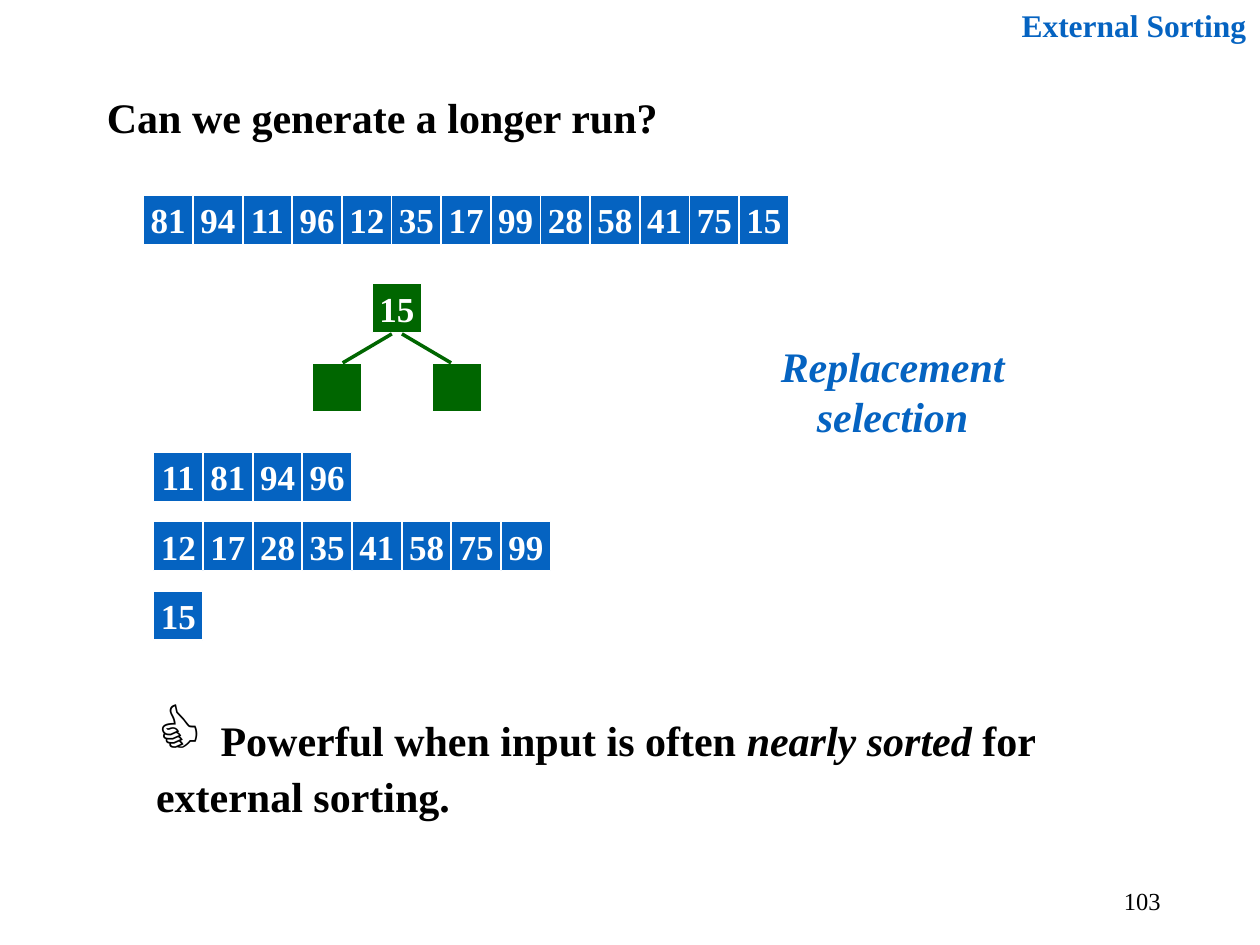
from dataclasses import dataclass
from typing import Any

from lxml.etree import SubElement
from pptx import Presentation
from pptx.dml.color import RGBColor
from pptx.enum.shapes import MSO_CONNECTOR as Connector, MSO_SHAPE as Shape
from pptx.enum.text import MSO_ANCHOR as Anchor, PP_ALIGN as Align
from pptx.oxml.ns import qn
from pptx.util import Inches, Pt

BLUE, GREEN, WHITE, BLACK = "0563C1", "006600", "FFFFFF", "000000"
UNIT = 0.1  # grid of 100 columns by 75 rows
CELL, PITCH = 3.9, 3.94


def color(hex_code):
    return RGBColor.from_string(hex_code)


def grid(*counts):
    return [Inches(count * UNIT) for count in counts]


@dataclass
class SlideStyle:
    slide: Any
    font: str = "Times New Roman"

    def add_words(self, paragraph, words, size, ink, bold=True, italic=False):
        run = paragraph.add_run()
        run.text = words
        run.font.name = self.font
        run.font.size = Pt(size)
        run.font.bold = bold
        run.font.italic = italic
        run.font.color.rgb = color(ink)

    def text(self, box, runs, align=Align.LEFT, anchor=Anchor.TOP):
        """Each run is a tuple: words, size, ink and optionally bold, italic."""
        frame = self.slide.shapes.add_textbox(*grid(*box)).text_frame
        frame.word_wrap = True
        frame.vertical_anchor = anchor
        paragraph = frame.paragraphs[0]
        paragraph.alignment = align
        for run in runs:
            self.add_words(paragraph, *run)

    def record(self, column, row, key="", fill=BLUE):
        square = self.slide.shapes.add_shape(
            Shape.RECTANGLE, *grid(column, row, CELL, CELL))
        square.shadow.inherit = False
        square.fill.solid()
        square.fill.fore_color.rgb = color(fill)
        square.line.color.rgb = color(WHITE)
        square.line.width = Pt(0.75)
        if key:
            frame = square.text_frame
            frame.word_wrap = False
            frame.vertical_anchor = Anchor.MIDDLE
            frame.paragraphs[0].alignment = Align.CENTER
            self.add_words(frame.paragraphs[0], key, 20, WHITE)

    def sequence(self, column, row, keys):
        for index, key in enumerate(keys.split()):
            self.record(column + index * PITCH, row, key)

    def branch(self, start, end):
        edge = self.slide.shapes.add_connector(
            Connector.STRAIGHT, *grid(*start, *end))
        edge.line.color.rgb = color(GREEN)
        edge.line.width = Pt(2)
        SubElement(edge._element.spPr, qn("a:effectLst"))

    def heap(self, center, row, key):
        """Draw a root with two empty children, mirrored about the center."""
        child_row = row + 6.3
        self.record(center - CELL / 2, row, key, GREEN)
        for side in (-1, 1):
            self.record(center + side * 4.75 - CELL / 2, child_row, fill=GREEN)
        for side in (-1, 1):
            self.branch((center + side * 0.4, row + 4),
                        (center + side * 4.3, child_row))


def main():
    deck = Presentation()
    deck.slide_width, deck.slide_height = grid(100, 75)
    page = SlideStyle(deck.slides.add_slide(deck.slide_layouts[6]))

    page.text((70.6, 69.5, 22.5, 4), [("103", 14, BLACK, False)],
              Align.RIGHT, Anchor.MIDDLE)
    page.text((76, 0, 23.9, 4), [("External Sorting", 18, BLUE)], Align.RIGHT)
    page.text((7.5, 6.8, 51.2, 5),
              [("Can we generate a longer run?", 24, BLACK)])

    page.sequence(11.4, 15.5, "81 94 11 96 12 35 17 99 28 58 41 75 15")
    sorted_runs = ("11 81 94 96", "12 17 28 35 41 58 75 99", "15")
    for index, keys in enumerate(sorted_runs):
        page.sequence(12.2, 35.9 + index * 5.5, keys)
    page.heap(31.5, 22.5, "15")

    page.text((56.3, 26.5, 29.1, 9),
              [("Replacement selection", 24, BLUE, True, True)], Align.CENTER)
    page.text((11.4, 54, 81.1, 11.7), [
        ("👍 ", 40, BLACK),
        ("Powerful when input is often ", 24, BLACK),
        ("nearly sorted", 24, BLACK, True, True),
        (" for external sorting.", 24, BLACK),
    ])
    deck.save("out.pptx")


if __name__ == "__main__":
    main()
